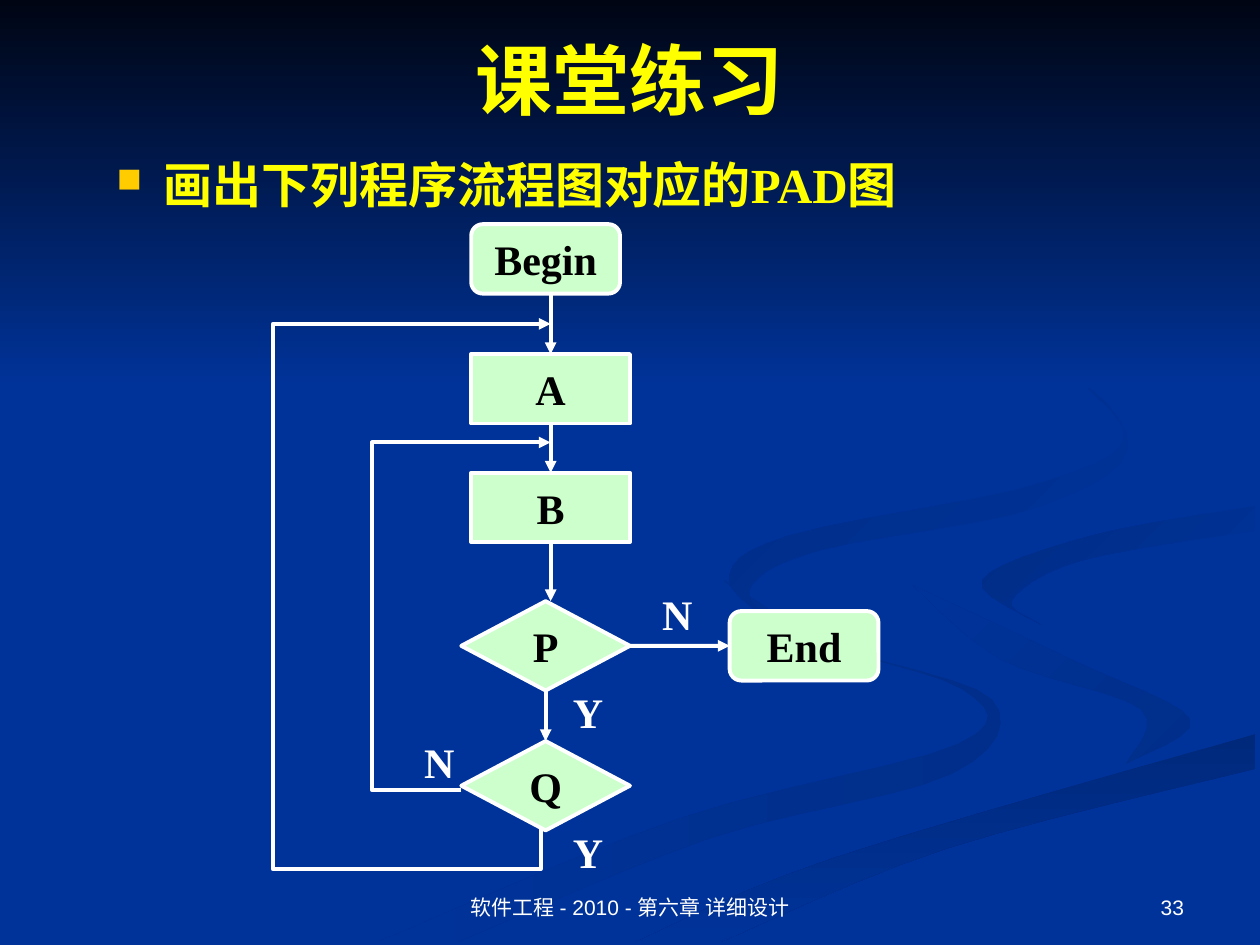
from pptx import Presentation
from pptx.dml.color import RGBColor
from pptx.enum.shapes import MSO_CONNECTOR as Conn, MSO_SHAPE as Kind
from pptx.enum.text import MSO_ANCHOR as Anchor, PP_ALIGN as Align
from pptx.oxml.ns import qn
from pptx.util import Cm, Pt
from lxml.etree import SubElement

BLUE = RGBColor(0x00, 0x33, 0x99)
NIGHT = RGBColor(0x00, 0x05, 0x14)
DUSK = RGBColor(0x00, 0x2E, 0x8A)
DEEP = RGBColor(0x00, 0x29, 0x7C)
SHADE = RGBColor(0x00, 0x2C, 0x85)
GREEN = RGBColor(0xCC, 0xFF, 0xCC)
YELLOW = RGBColor(0xFF, 0xFF, 0x00)
WHITE = RGBColor(0xFF, 0xFF, 0xFF)
BLACK = RGBColor(0x00, 0x00, 0x00)
SERIF, SANS = "Times New Roman", "Arial"

# Ribbons: first colour, last colour, angle, then both edges in cm
RIBBONS = [
    (DUSK, BLUE, 180,
     [(14.6, 11.7), (16, 12.8), (19.4, 13.9), (19.3, 15), (13.7, 16.5), (7.6, 19)],
     [(9.2, 19), (14.3, 16.9), (19.2, 15.6), (20, 14.1), (16.8, 13), (14.6, 11.7)]),
    (DUSK, BLUE, 135,
     [(18.4, 11.8), (20.2, 13.3), (23, 14.3), (22.7, 15.4)],
     [(22.7, 15.4), (24, 14.5), (21.6, 13.3), (18.4, 11.8)]),
    (DEEP, BLUE, 270,
     [(12.8, 19), (16.8, 17.3), (25.3, 14.8)],
     [(25.3, 15.5), (19.1, 17.1), (14.5, 19)]),
    (BLUE, SHADE, 135,
     [(21, 12.6), (19.8, 11.7), (22, 10.8), (25.3, 10.2)],
     [(25.3, 10.7), (21.8, 11.3), (20.4, 12.1), (21, 12.6)]),
    (BLUE, SHADE, 135,
     [(19.4, 5.9), (22.6, 8.5), (21.1, 9.7), (15.9, 10.8), (14.7, 11.7), (15.8, 12.7)],
     [(15.8, 12.7), (15.1, 11.9), (16.5, 11.1), (21, 10.2), (22.7, 8.7), (19.4, 5.9)]),
]


def smooth(edge, steps=6):
    """Run a Catmull-Rom curve through the points of an edge."""
    ends = [edge[0], *edge, edge[-1]]
    curve = []
    for quad in zip(ends, ends[1:], ends[2:], ends[3:]):
        for step in range(steps):
            t = step / steps
            curve.append(tuple(
                b + t * (c - a) / 2
                + t**2 * (2 * a - 5 * b + 4 * c - d) / 2
                + t**3 * (3 * b - a - 3 * c + d) / 2
                for a, b, c, d in zip(*quad)))
    return curve + [edge[-1]]


def paint(shape, first, last, angle):
    shape.fill.gradient()
    shape.fill.gradient_angle = angle
    for stop, color in zip(shape.fill.gradient_stops, (first, last)):
        stop.color.rgb = color
    shape.line.fill.background()
    shape.shadow.inherit = False


def trace(shapes, points, close):
    spots = [(Cm(x), Cm(y)) for x, y in points]
    pen = shapes.build_freeform(*spots[0])
    pen.add_line_segments(spots[1:], close=close)
    return pen.convert_to_shape()


def write(shape, text, size, color, face=SERIF, bold=True,
          align=Align.CENTER, anchor=Anchor.MIDDLE, wrap=True, bullet=None):
    frame = shape.text_frame
    frame.word_wrap = wrap
    frame.vertical_anchor = anchor
    para = frame.paragraphs[0]
    para.text = text
    para.alignment = align
    if bullet:
        para.line_spacing = 0.9
        props = para._p.get_or_add_pPr()
        props.set("marL", str(Cm(0.95)))
        props.set("indent", str(Cm(-0.95)))
        tint = SubElement(props, qn("a:buClr"))
        SubElement(tint, qn("a:srgbClr"), val="FFCC00")
        SubElement(props, qn("a:buSzPct"), val="70000")
        SubElement(props, qn("a:buChar"), char=bullet)
    font = para.font
    font.name, font.size, font.bold = face, Pt(size), bold
    font.color.rgb = color


def label(shapes, box, text, size, color, **style):
    write(shapes.add_textbox(*map(Cm, box)), text, size, color, **style)


def node(shapes, kind, x, y, text):
    width, height = {Kind.ROUNDED_RECTANGLE: (3, 1.4),
                     Kind.RECTANGLE: (3.2, 1.4),
                     Kind.DIAMOND: (3.4, 1.8)}[kind]
    shape = shapes.add_shape(kind, Cm(x), Cm(y), Cm(width), Cm(height))
    shape.shadow.inherit = False
    shape.fill.solid()
    shape.fill.fore_color.rgb = GREEN
    shape.line.color.rgb = WHITE
    shape.line.width = Pt(2.25)
    write(shape, text, 24, BLACK, wrap=False)
    return shape


def arrow(shape):
    shape.line.color.rgb = WHITE
    shape.line.width = Pt(2.25)
    props = shape._element.spPr
    SubElement(props.find(qn("a:ln")), qn("a:tailEnd"), type="triangle")
    SubElement(props, qn("a:effectLst"))


def link(shapes, start, end, source=None, target=None):
    line = shapes.add_connector(Conn.STRAIGHT, *map(Cm, start + end))
    if source:
        line.begin_connect(*source)
    if target:
        line.end_connect(*target)
    arrow(line)


def loop(shapes, points):
    route = trace(shapes, points, False)
    route.fill.background()
    arrow(route)


def main():
    deck = Presentation()
    deck.slide_width, deck.slide_height = Cm(25.4), Cm(19.05)
    slide = deck.slides.add_slide(deck.slide_layouts[6])
    shapes = slide.shapes

    # Background
    back = slide.background.fill
    back.solid()
    back.fore_color.rgb = BLUE
    for first, last, angle, out, home in RIBBONS:
        band = trace(shapes, smooth(out) + smooth(home), True)
        paint(band, first, last, angle)
    sky = shapes.add_shape(Kind.RECTANGLE, 0, 0, deck.slide_width, Cm(7.82))
    paint(sky, NIGHT, BLUE, 270)

    # Title and task
    label(shapes, (1.9, 0, 21.6, 3.18), "课堂练习", 44, YELLOW)
    label(shapes, (2.1, 3.12, 21.6, 1.42), "画出下列程序流程图对应的PAD图", 28, YELLOW,
          align=Align.LEFT, anchor=Anchor.TOP, bullet="■")

    # Flowchart nodes
    node(shapes, Kind.ROUNDED_RECTANGLE, 9.5, 4.52, "Begin")
    step_a = node(shapes, Kind.RECTANGLE, 9.5, 7.14, "A")
    step_b = node(shapes, Kind.RECTANGLE, 9.5, 9.53, "B")
    test_q = node(shapes, Kind.DIAMOND, 9.3, 14.94, "Q")
    test_p = node(shapes, Kind.DIAMOND, 9.3, 12.12, "P")
    end = node(shapes, Kind.ROUNDED_RECTANGLE, 14.71, 12.32, "End")

    # Straight arrows
    link(shapes, (11.1, 5.92), (11.1, 7.14), None, (step_a, 0))
    link(shapes, (11.1, 8.54), (11.1, 9.53), (step_a, 2), (step_b, 0))
    link(shapes, (12.7, 13.02), (14.71, 13.02), (test_p, 3), (end, 1))
    link(shapes, (11.1, 10.93), (11.1, 12.12), (step_b, 2))
    link(shapes, (11, 13.92), (11, 14.94), (test_p, 2), (test_q, 0))

    # Loops back to A and B
    loop(shapes, [(10.9, 16.72), (10.9, 17.52), (5.5, 17.52),
                  (5.5, 6.53), (11.1, 6.53)])
    loop(shapes, [(9.3, 15.93), (7.5, 15.93), (7.5, 8.92), (11.1, 8.92)])

    # Branch labels
    for text, x, y in [("N", 8.3, 14.73), ("Y", 11.3, 16.53),
                       ("N", 13.1, 11.73), ("Y", 11.3, 13.72)]:
        label(shapes, (x, y, 1.2, 1.27), text, 24, WHITE,
              align=Align.LEFT, anchor=Anchor.TOP)

    # Footer
    foot = dict(face=SANS, bold=False, anchor=Anchor.BOTTOM)
    label(shapes, (8.68, 17.35, 8.05, 1.32), "软件工程 - 2010 - 第六章 详细设计",
          12, WHITE, **foot)
    label(shapes, (18.2, 17.35, 5.92, 1.32), "33", 12, WHITE,
          align=Align.RIGHT, **foot)

    deck.save("out.pptx")


if __name__ == "__main__":
    main()
